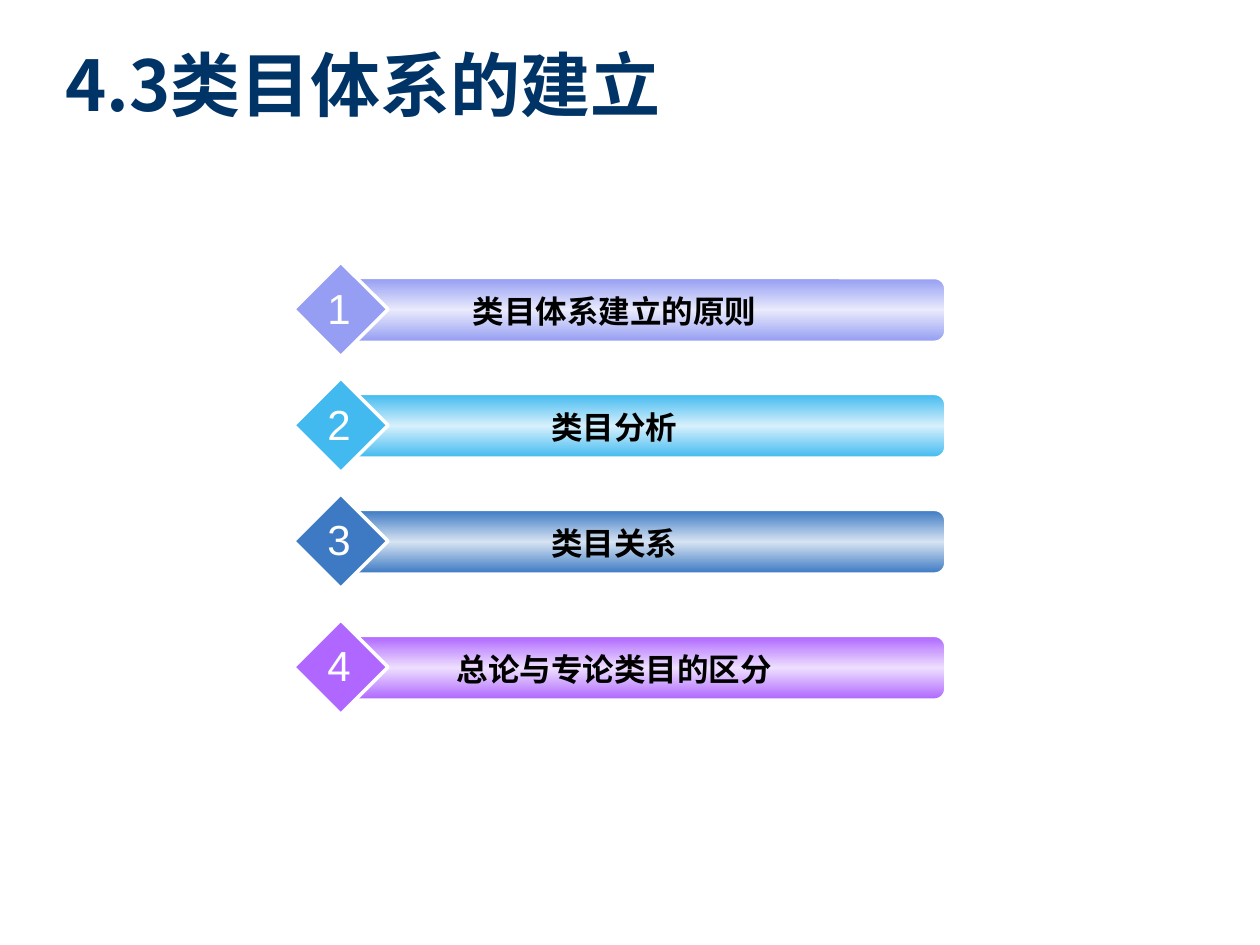
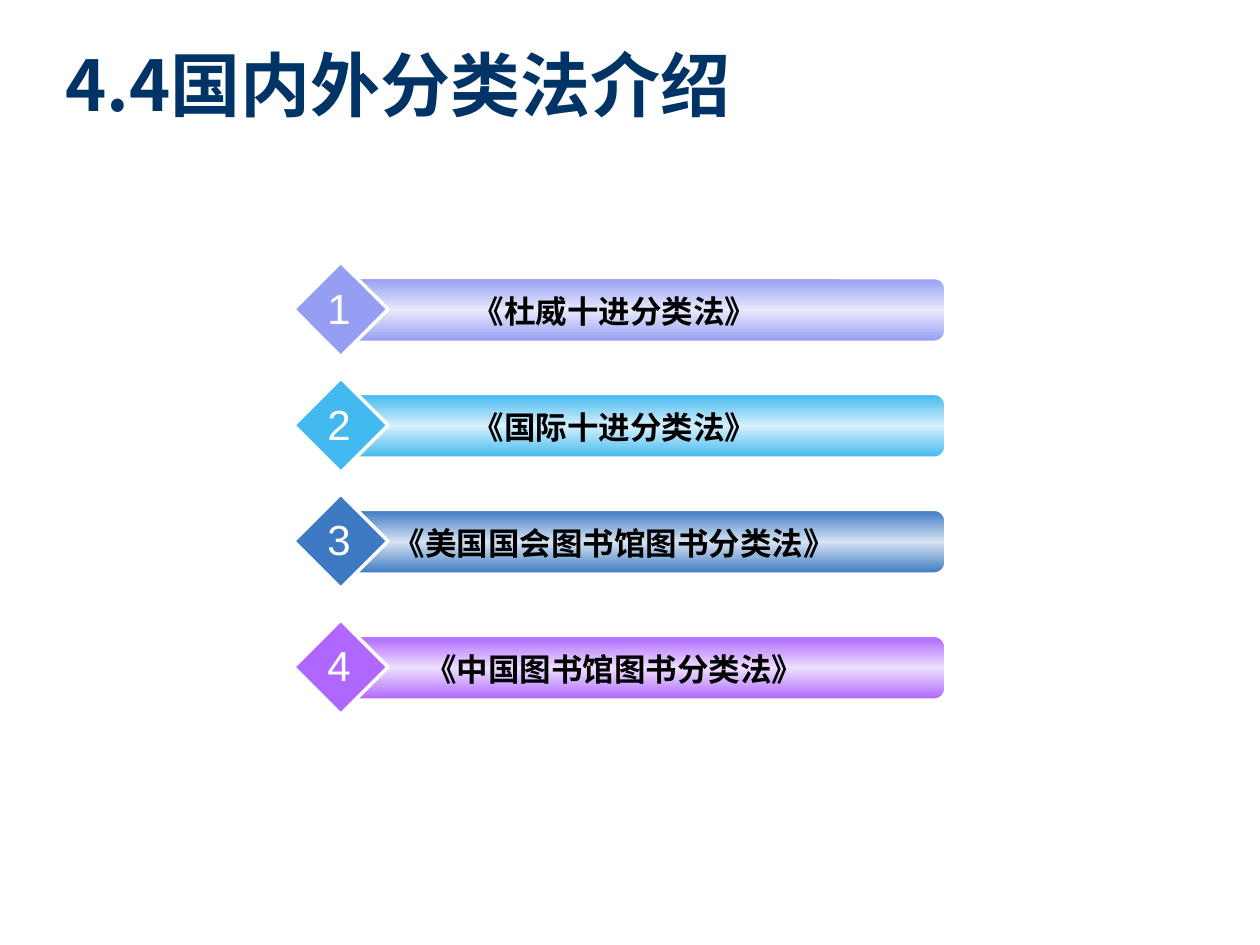
from copy import deepcopy
from dataclasses import dataclass

from lxml.etree import SubElement
from pptx import Presentation
from pptx.dml.color import RGBColor
from pptx.enum.shapes import MSO_SHAPE as Preset
from pptx.enum.text import MSO_ANCHOR as Anchor, PP_ALIGN as Align
from pptx.oxml.ns import qn
from pptx.util import Inches, Pt

SECTIONS = [
    ("4.3类目体系的建立",
     ["类目体系建立的原则", "类目分析", "类目关系", "总论与专论类目的区分"]),
    ("4.4国内外分类法介绍",
     ["《杜威十进分类法》", "《国际十进分类法》",
      "《美国国会图书馆图书分类法》", "《中国图书馆图书分类法》"]),
]


@dataclass(frozen=True)
class Theme:
    title_color: str = "003366"
    label_color: str = "000000"
    white: str = "FFFFFF"
    row_colors: tuple = (("959EF3", "E9EAFC"), ("42BAF0", "D7F0FC"),
                         ("3D7AC3", "D6E3F2"), ("AF67FF", "EEDFFF"))
    latin_font: str = "Arial"
    chinese_font: str = "Noto Sans CJK SC"
    title_size: int = 40
    label_size: int = 18
    number_size: int = 24


THEME = Theme()
TITLE_BOX = (0.42, 0.33, 9.33, 0.67)
FIRST_ROW_TOP = 2.08
ROW_PITCH = 0.92
LAST_ROW_GAP = 0.08


def rgb(color):
    return RGBColor.from_string(color)


def add_text(shapes, box, text, size, color, font, bold=False,
             align=Align.CENTER, anchor=Anchor.TOP, wrap=True):
    shape = shapes.add_textbox(*map(Inches, box))
    frame = shape.text_frame
    frame.word_wrap = wrap
    frame.vertical_anchor = anchor
    frame.text = text
    paragraph = frame.paragraphs[0]
    paragraph.alignment = align
    run_font = paragraph.runs[0].font
    run_font.name, run_font.size, run_font.bold = font, Pt(size), bold
    run_font.color.rgb = rgb(color)
    properties = paragraph.runs[0]._r.get_or_add_rPr()
    SubElement(properties, qn("a:ea")).set("typeface", THEME.chinese_font)


def add_preset(shapes, preset, box, line_width):
    shape = shapes.add_shape(preset, *map(Inches, box))
    shape.shadow.inherit = False
    shape.line.color.rgb = rgb(THEME.white)
    shape.line.width = Pt(line_width)
    return shape


def fill_with_sheen(shape, edge, middle):
    fill = shape.fill
    fill.gradient()
    fill.gradient_angle = 90
    stop_list = shape.element.spPr.find(".//" + qn("a:gsLst"))
    stop_list.append(deepcopy(stop_list[-1]))
    for stop, color, position in zip(fill.gradient_stops, (edge, middle, edge), (0, 0.5, 1)):
        stop.color.rgb = rgb(color)
        stop.position = position


def add_row(slide, number, label, top, colors):
    shapes = slide.shapes.add_group_shape().shapes
    bar = add_preset(shapes, Preset.ROUNDED_RECTANGLE, (2.75, top + 0.13, 4.75, 0.5), 1)
    fill_with_sheen(bar, *colors)
    diamond = add_preset(shapes, Preset.DIAMOND, (2.33, top, 0.75, 0.75), 2)
    diamond.fill.solid()
    diamond.fill.fore_color.rgb = rgb(colors[0])
    add_text(shapes, (3, top + 0.19, 3.75, 0.4), label, THEME.label_size,
             THEME.label_color, THEME.latin_font, bold=True)
    add_text(shapes, (2.5, top + 0.11, 0.38, 0.5), str(number), THEME.number_size,
             THEME.white, THEME.latin_font, wrap=False)


def add_section(presentation, title, labels):
    slide = presentation.slides.add_slide(presentation.slide_layouts[6])
    add_text(slide.shapes, TITLE_BOX, title, THEME.title_size, THEME.title_color,
             THEME.chinese_font, bold=True, align=Align.LEFT, anchor=Anchor.MIDDLE)
    for index, (label, colors) in enumerate(zip(labels, THEME.row_colors)):
        top = FIRST_ROW_TOP + index * ROW_PITCH
        if index == len(labels) - 1:
            top += LAST_ROW_GAP
        add_row(slide, index + 1, label, top, colors)


def main():
    presentation = Presentation()
    presentation.slide_width, presentation.slide_height = Inches(10), Inches(7.5)
    for title, labels in SECTIONS:
        add_section(presentation, title, labels)
    presentation.save("out.pptx")


if __name__ == "__main__":
    main()
